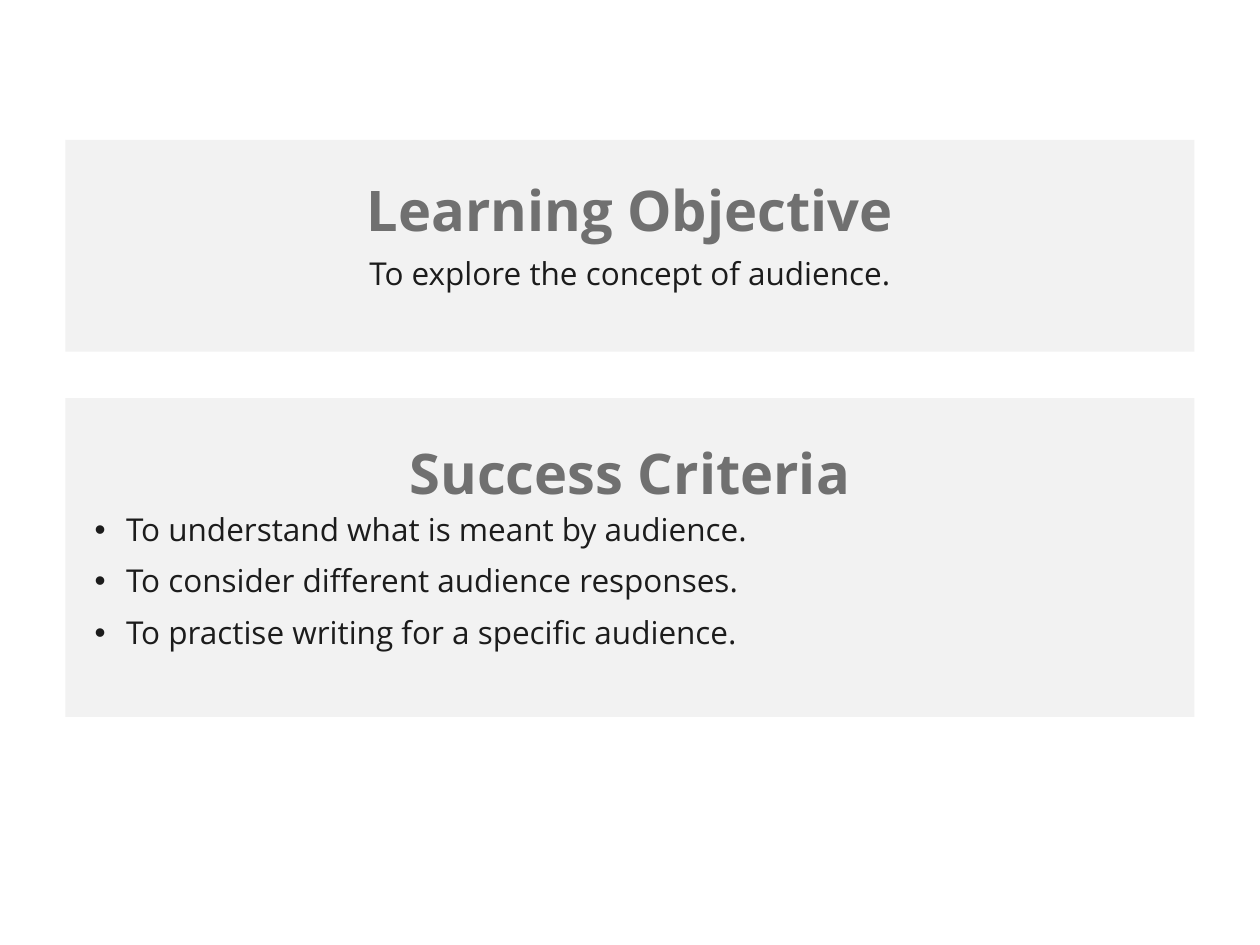
import lxml.etree
import pptx
import pptx.dml.color
import pptx.enum.shapes
import pptx.enum.text
import pptx.oxml.ns
import pptx.util

qn = pptx.oxml.ns.qn
ALIGN = pptx.enum.text.PP_ALIGN
WIDTH, HEIGHT = 10, 7.5
MARGIN = 0.52
PANEL_WIDTH = WIDTH - 2 * MARGIN
LIST_LEFT = 0.75


def color(hex_string):
    return pptx.dml.color.RGBColor.from_string(hex_string)


def place(shape, left, top, width, height):
    box = {"left": left, "top": top, "width": width, "height": height}
    for name, value in box.items():
        setattr(shape, name, pptx.util.Inches(value))


presentation = pptx.Presentation()
presentation.slide_width = pptx.util.Inches(WIDTH)
presentation.slide_height = pptx.util.Inches(HEIGHT)
slide = presentation.slides.add_slide(presentation.slide_layouts.get_by_name("Comparison"))
placeholders = {shape.placeholder_format.idx: shape for shape in slide.placeholders}

# Panels, placed behind the text
for position, (top, height) in enumerate([(1.11, 1.68), (3.16, 2.53)]):
    panel = slide.shapes.add_shape(
        pptx.enum.shapes.MSO_SHAPE.ROUNDED_RECTANGLE, 0, 0, 0, 0)
    place(panel, MARGIN, top, PANEL_WIDTH, height)
    panel.adjustments[0] = 0
    panel.shadow.inherit = False
    panel.line.fill.background()
    panel.fill.solid()
    panel.fill.fore_color.rgb = color("F2F2F2")
    fill_color = panel._element.spPr.find(qn("a:solidFill"))[0]
    lxml.etree.SubElement(fill_color, qn("a:alpha"), val="95000")
    slide.shapes._spTree.insert(2 + position, panel._element)

# Headings and body text
heading = {
    "font": {"name": "Open Sans", "size": pptx.util.Pt(32), "bold": True},
    "color": "707070", "align": ALIGN.CENTER, "insets": (0.28, 0.24, 0.28, 0.2),
}
body = {
    "font": {"name": "Open Sans", "size": pptx.util.Pt(18), "bold": False},
    "color": "1C1C1C", "align": ALIGN.CENTER, "insets": (0, 0, 0, 0),
}
bullets = {**body, "align": ALIGN.LEFT, "bullet": "•"}

criteria = [
    "To understand what is meant by audience.",
    "To consider different audience responses.",
    "To practise writing for a specific audience.",
]
texts = [
    (0, ["Learning Objective"], heading, (MARGIN, 1.21, PANEL_WIDTH, 0.76)),
    (3, ["To explore the concept of audience."], body, (MARGIN, 2.05, PANEL_WIDTH, 0.27)),
    (1, ["Success Criteria"], heading, (MARGIN, 3.3, PANEL_WIDTH, 0.76)),
    (2, criteria, bullets, (LIST_LEFT, 4.08, WIDTH - 2 * LIST_LEFT, 1.1)),
]
for index, lines, style, box in texts:
    shape = placeholders.pop(index)
    place(shape, *box)
    frame = shape.text_frame
    frame.text = "\n".join(lines)
    frame.word_wrap = True
    frame.auto_size = pptx.enum.text.MSO_AUTO_SIZE.NONE
    frame.vertical_anchor = pptx.enum.text.MSO_ANCHOR.TOP
    for side, inset in zip(("left", "top", "right", "bottom"), style["insets"]):
        setattr(frame, f"margin_{side}", pptx.util.Inches(inset))
    for number, paragraph in enumerate(frame.paragraphs):
        paragraph.alignment = style["align"]
        paragraph.line_spacing = 0.9
        paragraph.space_before = pptx.util.Pt(10 if number else 0)
        if "bullet" in style:
            properties = paragraph._p.get_or_add_pPr()
            indent = pptx.util.Inches(0.25)
            properties.set("marL", str(indent))
            properties.set("indent", str(-indent))
            lxml.etree.SubElement(properties, qn("a:buChar"), char=style["bullet"])
        for run in paragraph.runs:
            for name, value in style["font"].items():
                setattr(run.font, name, value)
            run.font.color.rgb = color(style["color"])

# Placeholders left without text
for shape in placeholders.values():
    shape._element.getparent().remove(shape._element)

presentation.save("out.pptx")
